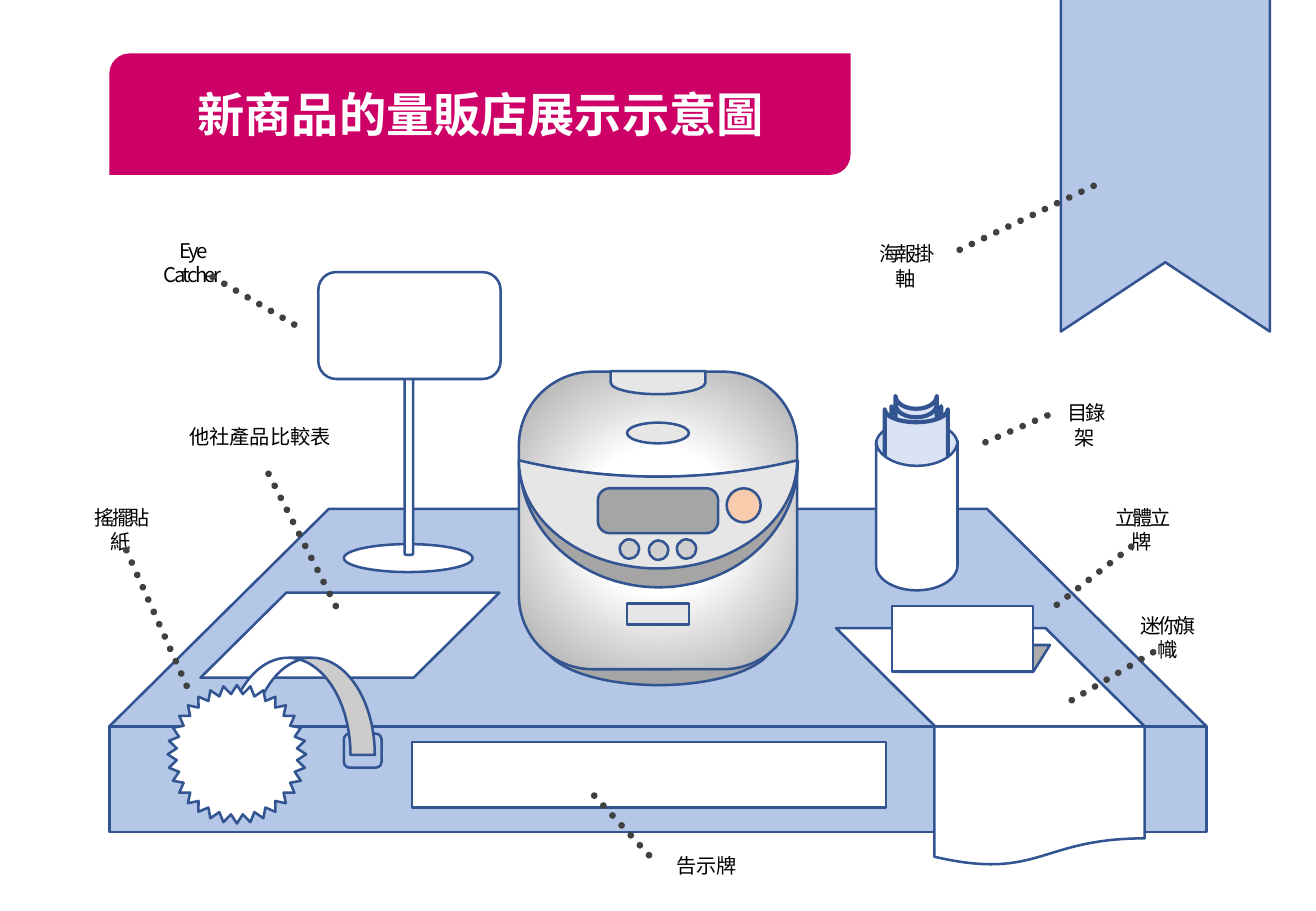
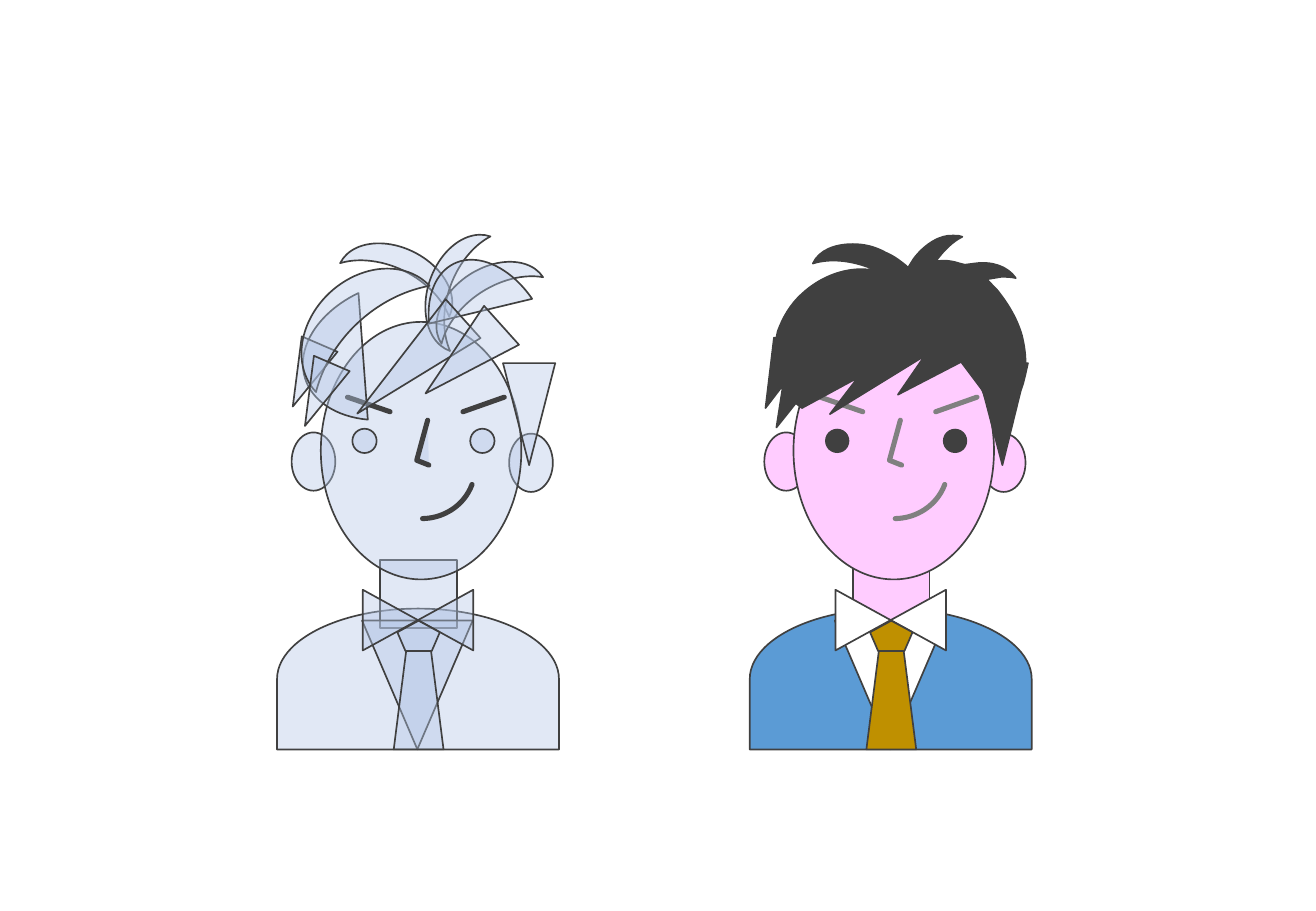
import dataclasses
import typing

import lxml.etree
import pptx
import pptx.dml.color
import pptx.enum.dml
import pptx.enum.shapes
import pptx.enum.text
import pptx.oxml.ns
import pptx.util

RGB = pptx.dml.color.RGBColor
KIND = pptx.enum.shapes.MSO_SHAPE
Inches = pptx.util.Inches
qn = pptx.oxml.ns.qn

FONT = "Noto Sans CJK SC"
WHITE = RGB(0xFF, 0xFF, 0xFF)
BLACK = RGB(0, 0, 0)
PINK = RGB(0xCC, 0x00, 0x66)
NAVY = RGB(0x32, 0x54, 0x91)
BLUE = RGB(0xB4, 0xC7, 0xE7)
PALE = RGB(0xDA, 0xE3, 0xF3)
DARK = RGB(0x40, 0x40, 0x40)
GRAY = RGB(0x80, 0x80, 0x80)
STEEL = RGB(0xA5, 0xA5, 0xA5)
SHADE = RGB(0xAF, 0xAB, 0xAB)
SILVER = RGB(0xE7, 0xE6, 0xE6)
KNOB = RGB(0xD0, 0xCE, 0xCE)
PEACH = RGB(0xF8, 0xCB, 0xAD)
SKIN = RGB(0xFF, 0xCC, 0xFF)
COAT = RGB(0x5B, 0x9B, 0xD5)
GOLD = RGB(0xBF, 0x90, 0x00)

GLASS = 40
ANGLE = 0.6
STEP = 3.89


@dataclasses.dataclass(frozen=True)
class Part:
    kind: typing.Any
    x: float
    y: float
    w: float
    h: float
    fill: typing.Optional[RGB] = WHITE
    turn: float = 0
    flip: str = ""
    adj: tuple = ()
    line: typing.Optional[RGB] = NAVY
    weight: float = 1.5


@dataclasses.dataclass(frozen=True)
class Label:
    text: str
    x: float
    y: float
    w: float
    start: tuple
    end: tuple
    space: float = -1.5


def cap(shape) -> None:
    shape.element.spPr.find(qn("a:ln")).set("cap", "rnd")


def paint(shape, fill, line, weight: float, alpha: int = 100) -> None:
    shape.shadow.inherit = False
    if fill is None:
        shape.fill.background()
    else:
        shape.fill.solid()
        shape.fill.fore_color.rgb = fill
        if alpha < 100:
            tint = shape.element.spPr.find(qn("a:solidFill"))[0]
            lxml.etree.SubElement(tint, qn("a:alpha")).set("val", str(alpha * 1000))
    if line is None:
        shape.line.fill.background()
    else:
        shape.line.color.rgb = line
        shape.line.width = pptx.util.Pt(weight)


def draw(slide, part: Part, alpha: int = 100):
    frame = [Inches(v) for v in (part.x, part.y, part.w, part.h)]
    shape = slide.shapes.add_shape(part.kind, *frame)
    shape.rotation = part.turn
    for axis in part.flip:
        shape.element.spPr.find(qn("a:xfrm")).set("flip" + axis, "1")
    for place, value in enumerate(part.adj):
        shape.adjustments[place] = value
    paint(shape, part.fill, part.line, part.weight, alpha)
    return shape


def trace(slide, start: tuple, steps: list, close: bool, dx: float = 0):
    points = [(Inches(s[i] + dx), Inches(s[i + 1])) for s in steps for i in range(0, len(s), 2)]
    maker = slide.shapes.build_freeform(Inches(start[0] + dx), Inches(start[1]))
    maker.add_line_segments(points, close=close)
    shape = maker.convert_to_shape()
    nodes = iter(list(shape.element.iter(qn("a:lnTo"))))
    for step in steps:
        group = [next(nodes) for _ in range(len(step) // 2)]
        if len(group) == 3:
            curve = lxml.etree.Element(qn("a:cubicBezTo"))
            group[0].addprevious(curve)
            for node in group:
                curve.append(node[0])
                node.getparent().remove(node)
    return shape


def link(slide, start: tuple, end: tuple, color: RGB, weight: float, dots: bool = False) -> None:
    ends = [Inches(v) for v in (*start, *end)]
    line = slide.shapes.add_connector(pptx.enum.shapes.MSO_CONNECTOR.STRAIGHT, *ends)
    line.line.color.rgb = color
    line.line.width = pptx.util.Pt(weight)
    if dots:
        line.line.dash_style = pptx.enum.dml.MSO_LINE.ROUND_DOT
    cap(line)
    lxml.etree.SubElement(line.element.spPr, qn("a:effectLst"))


def write(slide, text: str, *, x: float, y: float, w: float, h: float = 0.3,
          size: float = 12, color: RGB = BLACK, bold: bool = False, space: float = 0) -> None:
    frame = slide.shapes.add_textbox(*[Inches(v) for v in (x, y, w, h)]).text_frame
    frame.word_wrap = True
    frame.auto_size = pptx.enum.text.MSO_AUTO_SIZE.SHAPE_TO_FIT_TEXT
    line = frame.paragraphs[0]
    line.alignment = pptx.enum.text.PP_ALIGN.CENTER
    run = line.add_run()
    run.text = text
    font = run.font
    font.name, font.size, font.bold = FONT, pptx.util.Pt(size), bold
    font.color.rgb = color
    props = run.font._element
    lxml.etree.SubElement(props, qn("a:ea")).set("typeface", FONT)
    if space:
        props.set("spc", str(int(space * 100)))


def shine(shape) -> None:
    old = shape.element.spPr.find(qn("a:solidFill"))
    grad = lxml.etree.Element(qn("a:gradFill"), rotWithShape="1")
    stops = lxml.etree.SubElement(grad, qn("a:gsLst"))
    for place, color in ((0, WHITE), (35, WHITE), (100, STEEL)):
        stop = lxml.etree.SubElement(stops, qn("a:gs"), pos=str(place * 1000))
        lxml.etree.SubElement(stop, qn("a:srgbClr"), val=str(color))
    way = lxml.etree.SubElement(grad, qn("a:path"))
    way.set("path", "circle")
    lxml.etree.SubElement(way, qn("a:fillToRect"), {side: "50000" for side in "ltrb"})
    old.getparent().replace(old, grad)


STORE = KIND.FLOWCHART_STORED_DATA
SLANT = KIND.PARALLELOGRAM
ROUND = KIND.ROUNDED_RECTANGLE
BOX = KIND.RECTANGLE
OVAL = KIND.OVAL
MOON = KIND.MOON
CONE = KIND.ISOSCELES_TRIANGLE
DELAY = KIND.FLOWCHART_DELAY

TABLE = [
    Part(KIND.ROUND_2_DIAG_RECTANGLE, 0.9, 0.44, 6.1, 1, PINK, line=None),
    Part(BOX, 0.9, 5.98, 9.03, 0.87, BLUE),
    Part(KIND.FLOWCHART_MANUAL_OPERATION, 0.9, 4.19, 9.03, 1.79, BLUE, flip="V"),
    Part(BOX, 3.39, 6.11, 3.9, 0.54),
    Part(KIND.FLOWCHART_DOCUMENT, 7.69, 5.98, 1.73, 1.15),
    Part(SLANT, 6.88, 5.17, 2.54, 0.81, turn=180, flip="V", adj=(1.008,)),
    Part(SLANT, 1.65, 4.88, 2.46, 0.7, turn=180, flip="HV", adj=(1.008,)),
    Part(OVAL, 2.83, 4.48, 1.06, 0.23),
    Part(KIND.CAN, 3.33, 2.56, 0.07, 2.01),
    Part(ROUND, 2.62, 2.24, 1.5, 0.88),
]


def leaf(y: float, h: float) -> Part:
    return Part(STORE, 7.22, y, 0.64, h, PALE, 90, "HV", weight=2.5)


RACK = [
    leaf(3.41, 0.34),
    Part(OVAL, 7.21, 3.47, 0.67, 0.37, PALE),
    leaf(3.46, 0.41), leaf(3.48, 0.34), leaf(3.43, 0.52),
    Part(STORE, 6.93, 3.91, 1.23, 0.67, turn=270),
]
BASE = Part(KIND.CAN, 4.47, 4.02, 1.9, 1.62, STEEL, adj=(0.452,))
BODY = Part(ROUND, 4.27, 3.06, 2.29, 2.45, adj=(0.266,))
FRONT = [
    Part(OVAL, 5.16, 3.48, 0.51, 0.17, SILVER),
    Part(DELAY, 5.32, 2.76, 0.19, 0.78, SILVER, 90),
    Part(MOON, 4.9, 3.17, 1.04, 2.29, STEEL, 270, adj=(0.875,)),
    Part(MOON, 4.97, 3.09, 0.89, 2.29, SILVER, 270, adj=(0.849,)),
    Part(ROUND, 4.92, 4.02, 0.99, 0.37, STEEL, adj=(0.266,)),
    Part(OVAL, 5.98, 4.02, 0.28, 0.28, PEACH),
    *[Part(OVAL, x, y, 0.16, 0.16, KNOB) for x, y in ((5.34, 4.45), (5.1, 4.44), (5.57, 4.44))],
    Part(BOX, 5.16, 4.97, 0.51, 0.17, SILVER),
    Part(ROUND, 2.83, 6.04, 0.31, 0.28, BLUE, flip="V"),
    Part(KIND.CURVED_LEFT_ARROW, 2.02, 5.15, 0.8, 1.33, turn=90, flip="H"),
    Part(KIND.STAR_32_POINT, 1.38, 5.64, 1.14, 1.14, adj=(0.436,)),
    Part(SLANT, 7.39, 5.31, 1.25, 0.22, SHADE, 180, "HV", (0.624,)),
    Part(BOX, 7.34, 4.99, 1.16, 0.54),
]
FLAG = [(9.59, -0.14), (10.45, -0.14), (10.45, 2.73), (9.59, 2.16), (8.73, 2.73)]

LABELS = [
    Label("搖擺貼紙", 0.6, 4.11, 0.79, (1.04, 4.53), (1.56, 5.7)),
    Label("Eye Catcher", 1.14, 1.91, 0.89, (1.75, 2.28), (2.47, 2.7)),
    Label("立體立牌", 9, 4.11, 0.79, (9.31, 4.5), (8.62, 5.04)),
    Label("海報掛軸", 7.06, 1.94, 0.79, (9, 1.53), (7.87, 2.07)),
    Label("他社產品比較表", 1.45, 3.44, 1.38, (2.21, 3.9), (2.81, 5.08), 0),
    Label("目錄架", 8.61, 3.25, 0.64, (8.62, 3.42), (8.02, 3.68)),
    Label("告示牌", 5.46, 6.98, 0.71, (4.89, 6.55), (5.35, 7.05), 0),
    Label("迷你旗幟", 9.21, 5, 0.79, (9.49, 5.37), (8.76, 5.8)),
]

HEAD = [
    Part(DELAY, 2.86, 4.43, 1.16, 2.32, COAT, 270),
    Part(OVAL, 2.4, 3.56, 0.36, 0.48, SKIN),
    Part(OVAL, 4.19, 3.57, 0.36, 0.48, SKIN),
    Part(BOX, 3.13, 4.61, 0.63, 0.56, SKIN),
    Part(OVAL, 2.64, 2.65, 1.65, 2.12, SKIN),
    *[Part(OVAL, x, 3.53, 0.2, 0.2, DARK) for x in (2.9, 3.87)],
]
SMILE = Part(KIND.ARC, 3.03, 3.43, 0.88, 0.84, None, adj=(18.54 * ANGLE, 88.979 * ANGLE), weight=3)
BROWS = [((2.86, 3.27), (3.21, 3.39)), ((4.15, 3.27), (3.81, 3.39))]
SUIT = [
    Part(CONE, 2.98, 5.11, 0.91, 1.06, flip="V"),
    Part(KIND.FLOWCHART_COLLATE, 3.19, 4.65, 0.5, 0.91, turn=270),
    Part(KIND.REGULAR_PENTAGON, 3.27, 5.11, 0.35, 0.25, GOLD),
    Part(KIND.TRAPEZOID, 3.24, 5.36, 0.41, 0.81, GOLD),
]
CHORD = (40.11 * ANGLE, 162 * ANGLE)
LOCKS = [
    Part(CONE, 4.14, 2.99, 0.43, 0.84, flip="HV"),
    Part(MOON, 3.15, 1.73, 0.35, 1, turn=296.2, flip="H"),
    Part(MOON, 3.53, 1.86, 0.35, 1, turn=19.4),
    Part(MOON, 3.78, 1.91, 0.35, 1, turn=56.7),
    Part(KIND.CHORD, 2.72, 2.08, 1.11, 1.6, turn=73.2, adj=CHORD),
    Part(KIND.CHORD, 3.58, 2.1, 0.92, 1.38, turn=153.8, adj=CHORD),
    Part(CONE, 3.16, 2.43, 0.43, 1.17, turn=48.1, flip="HV"),
    Part(CONE, 3.6, 2.54, 0.43, 0.84, turn=48.1, flip="HV"),
    Part(CONE, 2.36, 2.81, 0.32, 0.56, turn=23.3, flip="HV"),
    Part(MOON, 2.63, 1.96, 0.52, 1.28, turn=226.9, flip="H", adj=(0.652,)),
    Part(CONE, 2.46, 2.97, 0.32, 0.56, turn=23.3, flip="HV"),
]
HAIR = [
    (7.88, 1.94, 7.9, 1.94, 7.92, 1.95), (7.84, 1.99, 7.77, 2.06, 7.71, 2.14),
    (7.7, 2.15), (7.72, 2.15), (7.77, 2.14, 7.84, 2.15, 7.9, 2.17), (7.94, 2.18), (8.02, 2.17),
    (8.16, 2.15, 8.29, 2.19, 8.36, 2.29), (8.32, 2.28, 8.28, 2.28, 8.24, 2.28),
    (8.12, 2.3), (8.2, 2.38), (8.29, 2.49, 8.37, 2.62, 8.41, 2.76),
    (8.43, 2.84, 8.44, 2.91, 8.44, 2.98), (8.44, 2.99), (8.46, 2.99), (8.44, 3.08),
    (8.42, 3.16), (8.4, 3.22), (8.25, 3.83), (8.09, 3.22), (7.91, 2.98), (7.39, 3.25),
    (7.61, 2.93), (6.83, 3.41), (7.06, 3.11), (6.6, 3.36), (6.55, 3.32), (6.39, 3.52),
    (6.44, 3.2), (6.43, 3.19), (6.3, 3.36), (6.37, 2.78), (6.39, 2.78), (6.4, 2.73),
    (6.44, 2.62, 6.5, 2.51, 6.6, 2.42), (6.76, 2.27, 6.97, 2.2, 7.15, 2.22),
    (7.23, 2.24), (7.22, 2.23), (7.04, 2.15, 6.85, 2.12, 6.69, 2.17),
    (6.74, 2.06, 6.87, 2.01, 7.02, 2.01), (7.11, 2.01, 7.2, 2.03, 7.29, 2.08),
    (7.36, 2.11, 7.41, 2.15, 7.46, 2.19), (7.47, 2.21), (7.52, 2.13),
    (7.61, 2.01, 7.74, 1.93, 7.85, 1.94),
]


def stand(slide) -> None:
    for part in TABLE + RACK + [BASE]:
        draw(slide, part)
    shine(draw(slide, BODY))
    for part in FRONT:
        draw(slide, part)
    paint(trace(slide, (8.73, -0.14), FLAG, True), BLUE, NAVY, 1.5)
    write(slide, "新商品的量販店展示示意圖", x=1.3, y=0.65, w=5.31, h=0.57,
          size=28, color=WHITE, bold=True)
    for label in LABELS:
        write(slide, label.text, x=label.x, y=label.y, w=label.w, space=label.space)
        link(slide, label.start, label.end, DARK, 4, dots=True)


def man(slide, dx: float, glass: bool) -> None:
    ink = DARK if glass else GRAY
    alpha = GLASS if glass else 100

    def place(parts: list) -> None:
        for part in parts:
            edge = None if part.fill == DARK and not glass else DARK
            fill = BLUE if glass else part.fill
            draw(slide, dataclasses.replace(part, x=part.x + dx, fill=fill, line=edge, weight=1), alpha)

    place(HEAD)
    cap(draw(slide, dataclasses.replace(SMILE, x=SMILE.x + dx, line=ink)))
    nose = trace(slide, (3.52, 3.46), [(3.43, 3.79), (3.53, 3.83)], False, dx)
    paint(nose, BLUE if glass else None, ink, 3, alpha)
    cap(nose)
    for start, end in BROWS:
        link(slide, (start[0] + dx, start[1]), (end[0] + dx, end[1]), ink, 3)
    if not glass:
        paint(trace(slide, (7.85, 1.94), HAIR, True), DARK, DARK, 1)
    place(SUIT + LOCKS if glass else SUIT)


def main() -> None:
    deck = pptx.Presentation()
    deck.slide_width, deck.slide_height = Inches(10.83), Inches(7.5)
    blank = deck.slide_layouts[6]
    stand(deck.slides.add_slide(blank))
    people = deck.slides.add_slide(blank)
    man(people, STEP, False)
    man(people, 0, True)
    deck.save("out.pptx")


if __name__ == "__main__":
    main()
